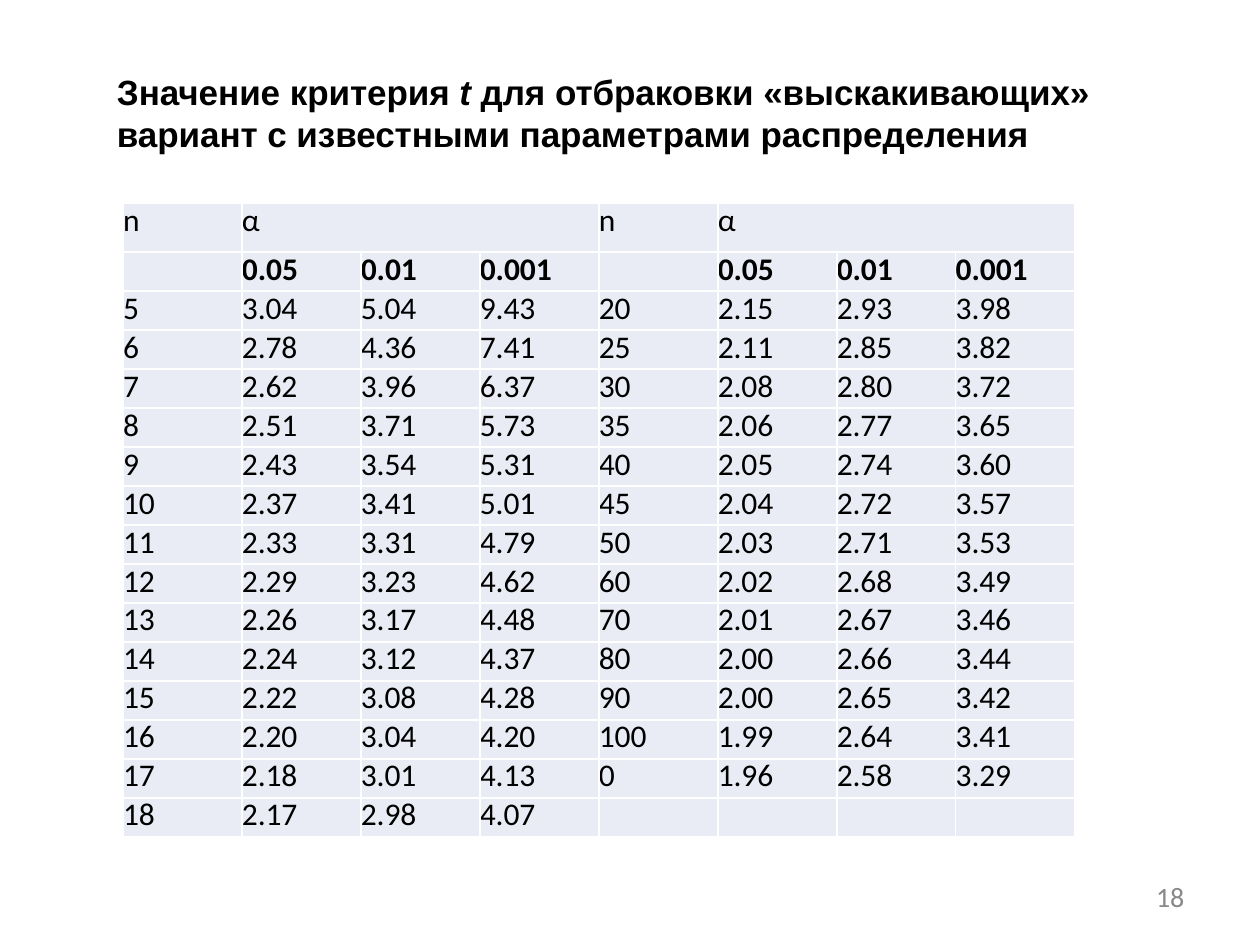
import dataclasses

import lxml.etree
import pptx
import pptx.dml.color
import pptx.oxml.ns
import pptx.util

PX_PER_INCH = 126


@dataclasses.dataclass(frozen=True)
class Theme:
    ink: str = "000000"
    muted: str = "888888"
    cell: str = "E9ECF4"
    border: str = "FFFFFF"
    title_font: str = "Arial"
    body_font: str = "Calibri"
    title_size: int = 20
    table_size: int = 18
    number_size: int = 16
    table_leading: float = 20.9
    number_leading: float = 16.1
    border_width: int = 1
    tracking: int = -5  # hundredths of a point


def px(length):
    return pptx.util.Emu(round(length * 914400 / PX_PER_INCH))


def rgb(value):
    return pptx.dml.color.RGBColor.from_string(value)


class SlideBuilder:
    def __init__(self, slide, theme):
        self.slide = slide
        self.theme = theme

    def style_run(self, run, font, size, color, bold=False, italic=False):
        run.font.name = font
        run.font.size = pptx.util.Pt(size)
        run.font.color.rgb = rgb(color)
        run.font.bold = bold
        run.font.italic = italic
        run._r.get_or_add_rPr().set("spc", str(self.theme.tracking))

    def text_box(self, left, top, width, height, indent):
        """Add a margin-free box and return its first paragraph."""
        frame = self.slide.shapes.add_textbox(
            px(left), px(top), px(width), px(height)).text_frame
        frame.word_wrap = True
        frame.margin_left = frame.margin_right = 0
        frame.margin_top = frame.margin_bottom = 0
        paragraph = frame.paragraphs[0]
        paragraph._p.get_or_add_pPr().set("marL", str(px(indent)))
        return paragraph

    def title(self, parts, left, top, width, height, indent):
        """Add the heading from (text, italic) parts."""
        heading = self.text_box(left, top, width, height, indent)
        for text, italic in parts:
            run = heading.add_run()
            run.text = text
            self.style_run(run, self.theme.title_font, self.theme.title_size,
                           self.theme.ink, bold=True, italic=italic)

    def page_number(self, text, left, top, width, height, indent):
        number = self.text_box(left, top, width, height, indent)
        number.text = text
        number.line_spacing = pptx.util.Pt(self.theme.number_leading)
        self.style_run(number.runs[0], self.theme.body_font,
                       self.theme.number_size, self.theme.muted)

    def cell_borders(self, cell):
        properties = cell._tc.get_or_add_tcPr()
        qn = pptx.oxml.ns.qn
        for side in ("a:lnL", "a:lnR", "a:lnT", "a:lnB"):
            line = lxml.etree.SubElement(
                properties, qn(side),
                w=str(pptx.util.Pt(self.theme.border_width)))
            fill = lxml.etree.SubElement(line, qn("a:solidFill"))
            lxml.etree.SubElement(fill, qn("a:srgbClr"),
                                  val=self.theme.border)

    def table_cell(self, cell, text, bold):
        cell.margin_left = cell.margin_right = 0
        cell.margin_top = cell.margin_bottom = 0
        self.cell_borders(cell)
        cell.fill.solid()
        cell.fill.fore_color.rgb = rgb(self.theme.cell)
        if text:
            cell.text_frame.text = text
            paragraph = cell.text_frame.paragraphs[0]
            paragraph.line_spacing = pptx.util.Pt(self.theme.table_leading)
            self.style_run(paragraph.runs[0], self.theme.body_font,
                           self.theme.table_size, self.theme.ink, bold)

    def table(self, rows, left, top, column_width, row_heights, spans,
              bold_row):
        """Add a table; spans lists (row, first column, last column)."""
        columns = len(rows[0])
        table = self.slide.shapes.add_table(
            len(rows), columns, px(left), px(top),
            px(column_width * columns), px(sum(row_heights))).table
        table.first_row = False
        table.horz_banding = False
        for column in table.columns:
            column.width = px(column_width)
        for r, (values, height) in enumerate(zip(rows, row_heights)):
            table.rows[r].height = px(height)
            for c, text in enumerate(values):
                self.table_cell(table.cell(r, c), text, r == bold_row)
        for row, first, last in spans:
            table.cell(row, first).merge(table.cell(row, last))


TITLE = [
    ("Значение критерия ", False),
    ("t ", True),
    ("для отбраковки «выскакивающих» вариант с известными параметрами "
     "распределения", False),
]

HEADER = ["n", "α", "", ""]
LEVELS = ["", "0.05", "0.01", "0.001"]

SMALL_SAMPLES = """\
5 3.04 5.04 9.43
6 2.78 4.36 7.41
7 2.62 3.96 6.37
8 2.51 3.71 5.73
9 2.43 3.54 5.31
10 2.37 3.41 5.01
11 2.33 3.31 4.79
12 2.29 3.23 4.62
13 2.26 3.17 4.48
14 2.24 3.12 4.37
15 2.22 3.08 4.28
16 2.20 3.04 4.20
17 2.18 3.01 4.13
18 2.17 2.98 4.07"""

LARGE_SAMPLES = """\
20 2.15 2.93 3.98
25 2.11 2.85 3.82
30 2.08 2.80 3.72
35 2.06 2.77 3.65
40 2.05 2.74 3.60
45 2.04 2.72 3.57
50 2.03 2.71 3.53
60 2.02 2.68 3.49
70 2.01 2.67 3.46
80 2.00 2.66 3.44
90 2.00 2.65 3.42
100 1.99 2.64 3.41
0 1.96 2.58 3.29"""


def critical_values():
    """Join both halves, leaving the last right-hand row empty."""
    small = [line.split() for line in SMALL_SAMPLES.splitlines()]
    large = [line.split() for line in LARGE_SAMPLES.splitlines()]
    large.append([""] * len(HEADER))
    body = [left + right for left, right in zip(small, large)]
    return [HEADER * 2, LEVELS * 2] + body


def main():
    presentation = pptx.Presentation()
    presentation.slide_width = px(1260)
    presentation.slide_height = px(945)
    slide = presentation.slides.add_slide(presentation.slide_layouts[6])
    builder = SlideBuilder(slide, Theme())

    builder.page_number("18", 1145, 885, 43, 39, indent=11)
    rows = critical_values()
    builder.table(rows, 123, 203, column_width=119,
                  row_heights=[49] + [39] * (len(rows) - 1),
                  spans=[(0, 1, 3), (0, 5, 7)], bold_row=1)
    builder.title(TITLE, 87, 70, 1086, 118, indent=30)

    presentation.save("out.pptx")


if __name__ == "__main__":
    main()
